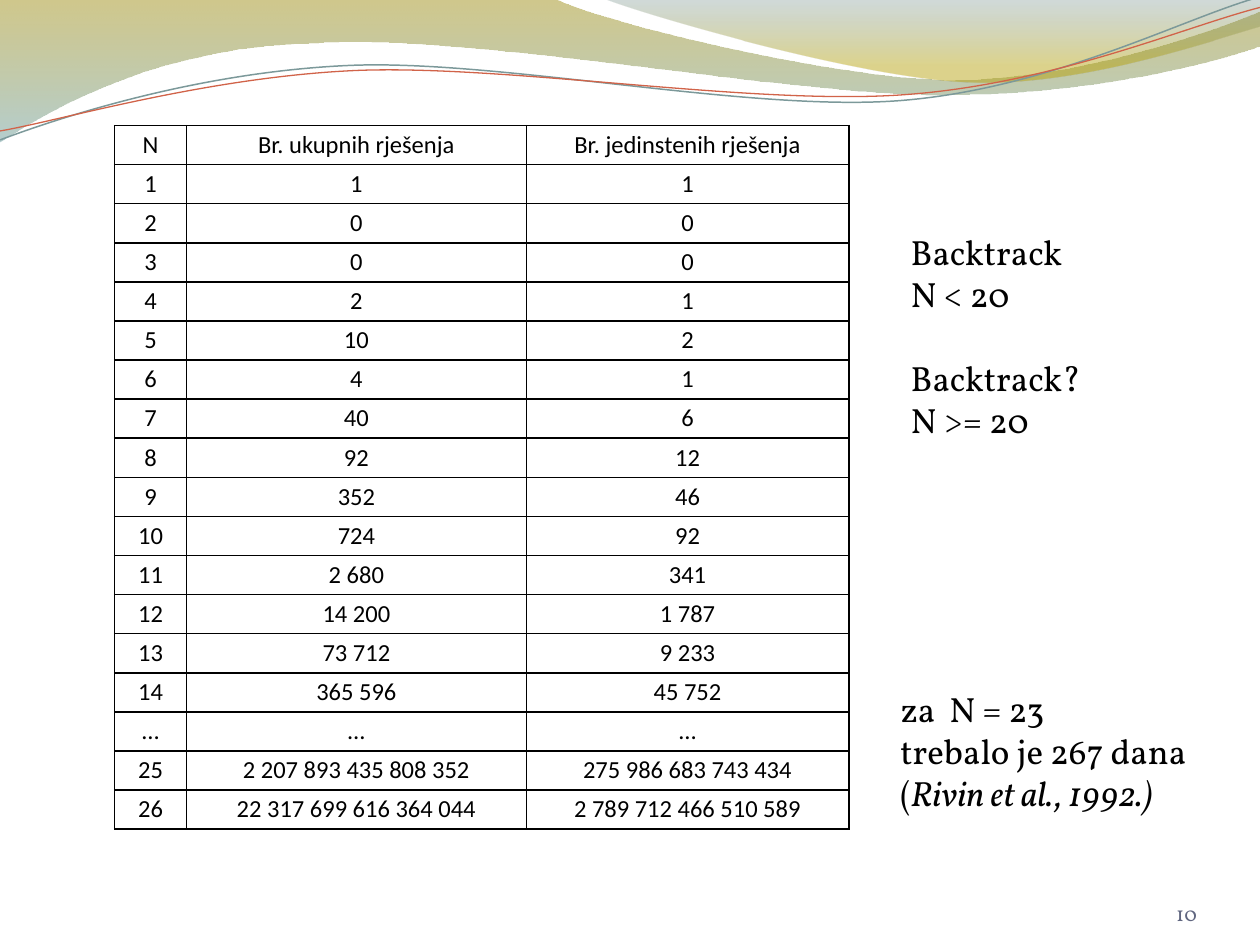
from math import cos, radians, sin

from lxml import etree
from pptx import Presentation
from pptx.dml.color import RGBColor
from pptx.enum.text import MSO_ANCHOR, MSO_AUTO_SIZE, PP_ALIGN
from pptx.oxml import parse_xml
from pptx.oxml.ns import qn
from pptx.util import Cm, Pt

CENTER, LEFT, RIGHT = PP_ALIGN.CENTER, PP_ALIGN.LEFT, PP_ALIGN.RIGHT
TOP, BOTTOM = MSO_ANCHOR.TOP, MSO_ANCHOR.BOTTOM
GROW, FIXED = MSO_AUTO_SIZE.SHAPE_TO_FIT_TEXT, MSO_AUTO_SIZE.NONE
DRAWING_NS = "http://schemas.openxmlformats.org/drawingml/2006/main"
BODY_FONT, TABLE_FONT = "Vollkorn", "Calibri"
BLACK = "000000"
STRAND_TILT = -2.7
STRAND_PIVOT = (12.68, 1.48)

BROAD_WAVE = [
    (0, 0), [(11.18, -0.03)],
    [(12.09, 0.43), (16.87, 1.6), (19.25, 1.6)],
    [(21.67, 1.6), (24.33, 0.66), (25.4, 0.23)],
    [(25.43, 0.91)],
    [(24.97, 1.12), (22.1, 1.93), (18.95, 1.91)],
    [(15.8, 1.91), (9.7, 0.71), (6.53, 0.86)],
    [(3.25, 0.91), (1.17, 2.11), (-0.03, 2.87)],
    [(0, 0)],
]
RIGHT_WAVE = [
    (12.17, -0.03),
    [(12.93, 0.28), (17.32, 1.57), (19.53, 1.65)],
    [(21.74, 1.75), (24.41, 0.81), (25.4, 0.53)],
    [(25.4, 0)],
    [(12.17, -0.03)],
]
GREY_STRAND = [
    (0, 2.82),
    [(1.22, 2.36), (4.01, 1.45), (7.04, 1.32)],
    [(10.03, 1.19), (15.06, 2.26), (18.11, 2.03)],
    [(21.16, 1.8), (23.83, 0.38), (25.35, -0.05)],
]
RED_STRAND = [
    (0, 2.64),
    [(1.19, 2.44), (4.17, 1.55), (7.19, 1.42)],
    [(10.24, 1.3), (15.16, 2.13), (18.21, 1.91)],
    [(21.23, 1.7), (23.9, 0.53), (25.4, 0.15)],
]
SOLUTION_COUNTS = [
    ("N", "Br. ukupnih rješenja", "Br. jedinstenih rješenja"),
    ("1", "1", "1"),
    ("2", "0", "0"),
    ("3", "0", "0"),
    ("4", "2", "1"),
    ("5", "10", "2"),
    ("6", "4", "1"),
    ("7", "40", "6"),
    ("8", "92", "12"),
    ("9", "352", "46"),
    ("10", "724", "92"),
    ("11", "2 680", "341"),
    ("12", "14 200", "1 787"),
    ("13", "73 712", "9 233"),
    ("14", "365 596", "45 752"),
    ("…", "…", "…"),
    ("25", "2 207 893 435 808 352", "275 986 683 743 434"),
    ("26", "22 317 699 616 364 044", "2 789 712 466 510 589"),
]


def color(hex_value):
    """Turn a hex string into a colour."""
    return RGBColor.from_string(hex_value)


def style_font(font, name, size, hex_value):
    """Set the typeface, size and colour of a font."""
    font.name, font.size = name, Pt(size)
    font.color.rgb = color(hex_value)


def add_outline(slide, box, outline, closed):
    """Draw straight and Bézier segments relative to the corner of the box."""
    def place(point):
        return Cm(box[0] + point[0]), Cm(box[1] + point[1])

    start, *segments = outline
    builder = slide.shapes.build_freeform(*place(start))
    builder.add_line_segments([place(segment[-1]) for segment in segments], close=closed)
    shape = builder.convert_to_shape()
    shape.shadow.inherit = False
    for line, segment in zip(list(shape.element.iter(qn("a:lnTo"))), segments):
        if len(segment) == 3:
            line.tag_name = None
            curve = etree.Element(qn("a:cubicBezTo"))
            for x, y in map(place, segment):
                etree.SubElement(curve, qn("a:pt"), x=str(x - shape.left), y=str(y - shape.top))
            line.getparent().replace(line, curve)
    return shape


def add_wave(slide, box, outline, stops):
    """Add a borderless wave with a translucent vertical gradient."""
    wave = add_outline(slide, box, outline, True)
    wave.line.fill.background()
    wave.fill.gradient()
    wave.fill.gradient_angle = 270
    for stop, (position, hex_value, _) in zip(wave.fill.gradient_stops, stops):
        stop.position = position
        stop.color.rgb = color(hex_value)
    for tint, (_, _, opacity) in zip(wave.element.spPr.iter(qn("a:srgbClr")), stops):
        etree.SubElement(tint, qn("a:alpha"), val=str(opacity * 1000))


def level(point):
    """Turn a point about the pivot to undo the tilt of the strands."""
    angle = radians(-STRAND_TILT)
    x, y = point[0] - STRAND_PIVOT[0], point[1] - STRAND_PIVOT[1]
    return (STRAND_PIVOT[0] + x * cos(angle) - y * sin(angle),
            STRAND_PIVOT[1] + x * sin(angle) + y * cos(angle))


def add_strand(slide, box, outline, hex_value, width):
    """Add a thin curved line, drawn level and then tilted."""
    start, *segments = outline
    levelled = [level(start), *([level(point) for point in segment] for segment in segments)]
    strand = add_outline(slide, box, levelled, False)
    strand.rotation = STRAND_TILT
    strand.fill.background()
    strand.line.color.rgb = color(hex_value)
    strand.line.width = Pt(width)


def add_banner(slide, box):
    """Draw the waves and strands along the top of the slide."""
    add_wave(slide, box, BROAD_WAVE, [(0, "978500", 45), (1, "77A5A6", 55)])
    add_wave(slide, box, RIGHT_WAVE, [(0, "648484", 30), (0.8, "B49F00", 45)])
    add_strand(slide, box, GREY_STRAND, "7C999A", 0.85)
    add_strand(slide, box, RED_STRAND, "D16349", 0.75)


def add_cell_borders(cell, hex_value, width):
    """Put a solid border on all four sides of a cell."""
    properties = cell._tc.get_or_add_tcPr()
    for index, side in enumerate(("lnL", "lnR", "lnT", "lnB")):
        properties.insert(index, parse_xml(
            f'<a:{side} xmlns:a="{DRAWING_NS}" w="{Pt(width)}"><a:solidFill>'
            f'<a:srgbClr val="{hex_value}"/></a:solidFill></a:{side}>'))


def add_solution_table(slide, box):
    """Add the table of solution counts for each N."""
    column_widths = (1.45, 6.85, box[2] - 8.3)
    table = slide.shapes.add_table(len(SOLUTION_COUNTS), len(column_widths),
                                   *map(Cm, box)).table
    table.first_row = table.horz_banding = False
    for column, column_width in zip(table.columns, column_widths):
        column.width = Cm(column_width)
    for row, counts in zip(table.rows, SOLUTION_COUNTS):
        row.height = Cm(box[3] / len(SOLUTION_COUNTS))
        for cell, count in zip(row.cells, counts):
            cell.fill.background()
            cell.margin_left = cell.margin_right = Cm(0.18)
            cell.margin_top = cell.margin_bottom = 0
            paragraph = cell.text_frame.paragraphs[0]
            paragraph.text = count
            paragraph.alignment, paragraph.line_spacing = CENTER, 1.15
            style_font(paragraph.font, TABLE_FONT, 14, BLACK)
            add_cell_borders(cell, BLACK, 1)


def add_text(slide, box, lines, size=20, hex_value=BLACK, align=LEFT, anchor=TOP, fit=GROW):
    """Add a text box with one paragraph per line and return its frame."""
    frame = slide.shapes.add_textbox(*map(Cm, box)).text_frame
    frame.word_wrap, frame.auto_size, frame.vertical_anchor = True, fit, anchor
    for index, line in enumerate(lines):
        paragraph = frame.add_paragraph() if index else frame.paragraphs[0]
        paragraph.text, paragraph.alignment = line, align
        style_font(paragraph.font, BODY_FONT, size, hex_value)
    return frame


def main():
    """Build the slide and save it."""
    presentation = Presentation()
    presentation.slide_width, presentation.slide_height = Cm(25.4), Cm(19.05)
    slide = presentation.slides.add_slide(presentation.slide_layouts[6])
    add_banner(slide, (0, 0))
    number = add_text(slide, (22.02, 17.65, 2.11, 1.02), ["10"], 12, "606680",
                      RIGHT, BOTTOM, FIXED)
    number.margin_left = number.margin_right = number.margin_top = number.margin_bottom = 0
    add_solution_table(slide, (2.31, 2.53, 14.8, 14.2))
    note = add_text(slide, (17.9, 13.73, 6.4, 2.82), ["za  N = 23", "trebalo je 267 dana", "("])
    citation = note.paragraphs[2].add_run()
    citation.text, citation.font.italic = "Rivin et al., 1992.)", True
    limits = add_text(slide, (18.11, 4.52, 6.4, 4.52),
                      ["Backtrack", "N < 20", "Backtrack?", "N >= 20"])
    limits.paragraphs[2].space_before = Pt(24)
    presentation.save("out.pptx")


if __name__ == "__main__":
    main()
